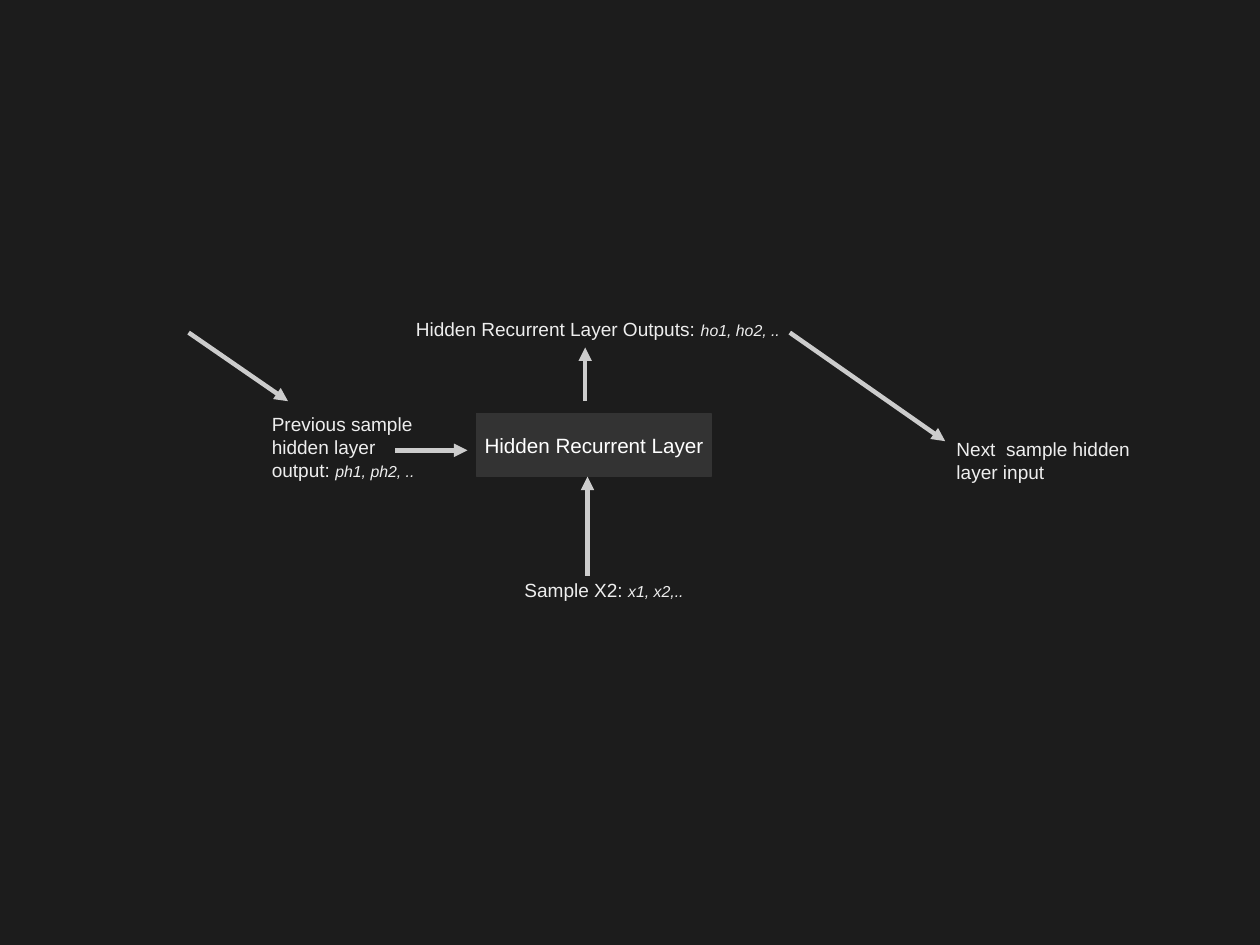
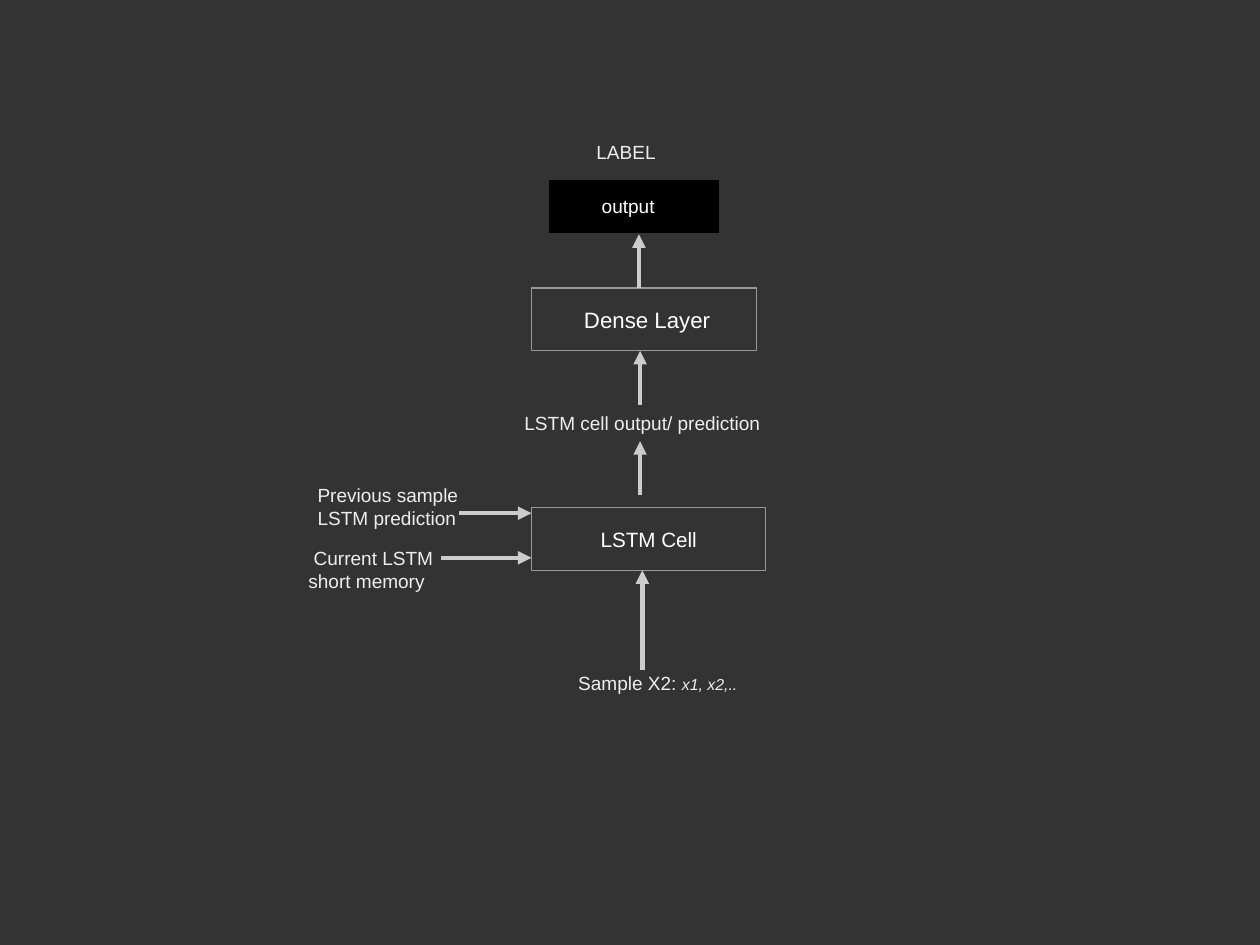
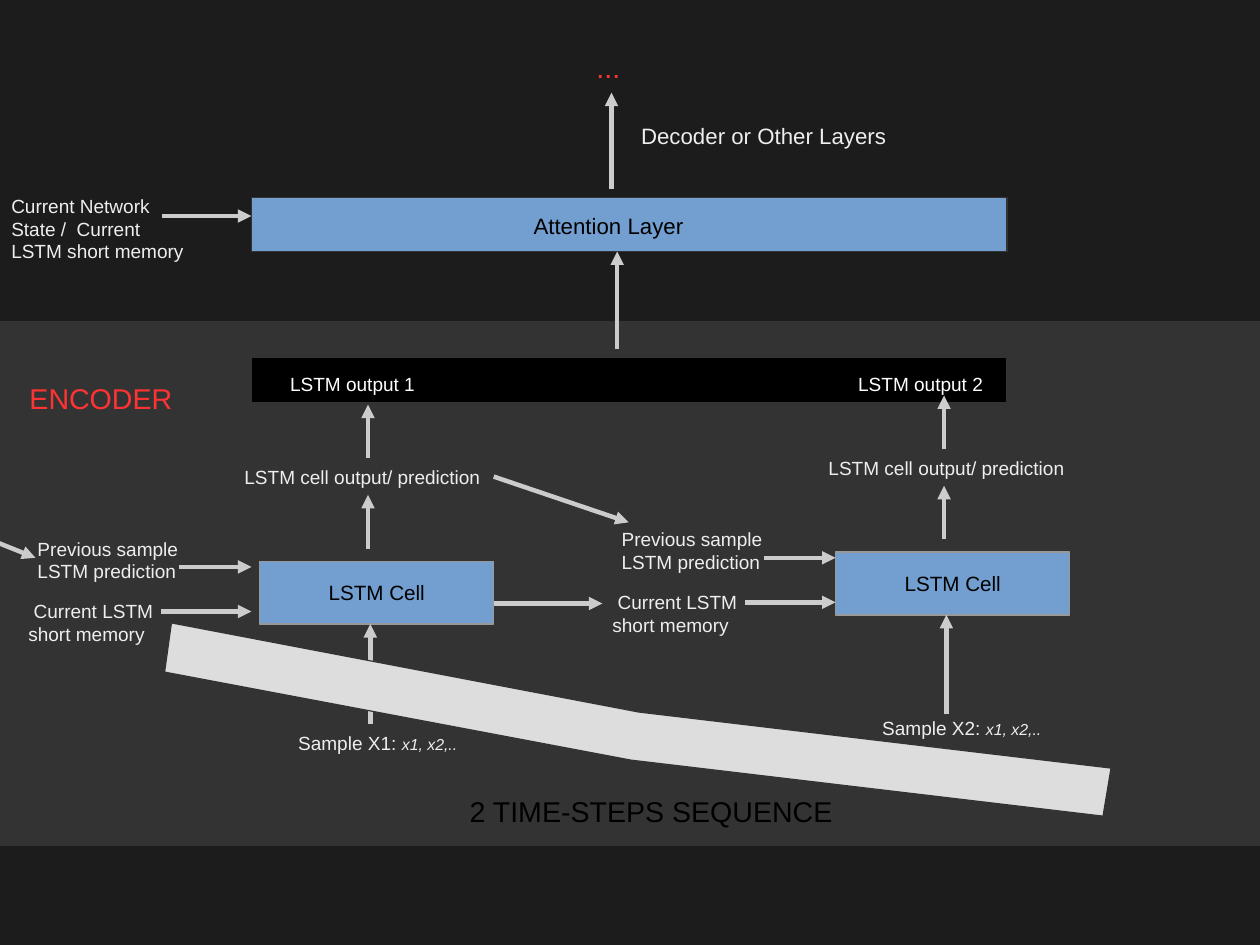
from dataclasses import dataclass

from lxml import etree
from pptx import Presentation
from pptx.dml.color import RGBColor
from pptx.enum.shapes import MSO_CONNECTOR, MSO_SHAPE
from pptx.enum.text import MSO_ANCHOR, PP_ALIGN
from pptx.oxml.ns import qn
from pptx.shapes.autoshape import Shape
from pptx.slide import Slide
from pptx.text.text import TextFrame
from pptx.util import Inches, Pt

# Shared style
FONT = "Arial"
INK = RGBColor(0x1C, 0x1C, 0x1C)
CHARCOAL = RGBColor(0x33, 0x33, 0x33)
BLACK = RGBColor(0x00, 0x00, 0x00)
WHITE = RGBColor(0xFF, 0xFF, 0xFF)
PALE = RGBColor(0xEE, 0xEE, 0xEE)
RIBBON_GREY = RGBColor(0xDD, 0xDD, 0xDD)
ARROW_GREY = RGBColor(0xCC, 0xCC, 0xCC)
BORDER_GREY = RGBColor(0x99, 0x99, 0x99)
BLUE = RGBColor(0x72, 0x9F, 0xCF)
RED = RGBColor(0xFF, 0x33, 0x33)

RECTANGLE = MSO_SHAPE.RECTANGLE
PROCESS = MSO_SHAPE.FLOWCHART_PROCESS
STRAIGHT = MSO_CONNECTOR.STRAIGHT
MIDDLE = MSO_ANCHOR.MIDDLE
CENTER = PP_ALIGN.CENTER
LEFT = PP_ALIGN.LEFT

# The page is 28 by 21 centimetres
PAGE_WIDTH, PAGE_HEIGHT = 28 / 2.54, 21 / 2.54
CELL_WIDTH, CELL_HEIGHT = 2.05, 0.55
ARROW_LENGTH = 0.47


@dataclass(frozen=True)
class Label:
    text: str
    left: float
    top: float
    width: float
    height: float = 0.31
    detail: str = ""
    size: float = 12
    color: RGBColor = PALE


@dataclass(frozen=True)
class Arrow:
    start_x: float
    start_y: float
    end_x: float
    end_y: float


@dataclass(frozen=True)
class Step:
    """One LSTM cell; side_left is the edge its inputs are aligned to."""
    cell_left: float
    side_left: float
    top: float
    sample: str
    sample_top: float
    fill: RGBColor
    color: RGBColor


# Drawing functions
def write_text(frame: TextFrame, text: str, *, size: float, color: RGBColor,
               detail: str = "", align: PP_ALIGN = LEFT) -> None:
    para = frame.paragraphs[0]
    para.alignment = align
    for content, points, italic in ((text, size, False), (detail, 10, True)):
        if content:
            span = para.add_run()
            span.text = content
            span.font.name = FONT
            span.font.size = Pt(points)
            span.font.italic = italic
            span.font.color.rgb = color


def add_label(page: Slide, label: Label) -> None:
    box = page.shapes.add_textbox(Inches(label.left), Inches(label.top),
                                  Inches(label.width), Inches(label.height))
    box.text_frame.word_wrap = True
    write_text(box.text_frame, label.text, size=label.size,
               color=label.color, detail=label.detail)


def paint(shape: Shape, fill: RGBColor, border: RGBColor) -> None:
    shape.shadow.inherit = False
    shape.fill.solid()
    shape.fill.fore_color.rgb = fill
    shape.line.color.rgb = border
    shape.line.width = Pt(0)


def add_box(page: Slide, left: float, top: float, width: float, height: float,
            *, fill: RGBColor, border: RGBColor = CHARCOAL, text: str = "",
            size: float = 13, color: RGBColor = WHITE) -> None:
    box = page.shapes.add_shape(PROCESS if text else RECTANGLE, Inches(left),
                                Inches(top), Inches(width), Inches(height))
    paint(box, fill, border)
    if text:
        box.text_frame.word_wrap = False
        box.text_frame.vertical_anchor = MIDDLE
        write_text(box.text_frame, text, size=size, color=color, align=CENTER)


def add_arrow(page: Slide, arrow: Arrow) -> None:
    connector = page.shapes.add_connector(
        STRAIGHT, Inches(arrow.start_x), Inches(arrow.start_y),
        Inches(arrow.end_x), Inches(arrow.end_y))
    connector.line.color.rgb = ARROW_GREY
    connector.line.width = Pt(2.83)
    properties = connector.element.spPr
    line = properties.find(qn("a:ln"))
    etree.SubElement(line, qn("a:tailEnd"), type="triangle")
    etree.SubElement(properties, qn("a:effectLst"))


def add_polygon(page: Slide, points: list[tuple[float, float]],
                fill: RGBColor) -> None:
    corners = [(Inches(x), Inches(y)) for x, y in points]
    builder = page.shapes.build_freeform(*corners[0])
    builder.add_line_segments(corners[1:], close=True)
    paint(builder.convert_to_shape(), fill, CHARCOAL)


def add_parts(page: Slide, arrows: list[Arrow], labels: list[Label]) -> None:
    for arrow in arrows:
        add_arrow(page, arrow)
    for label in labels:
        add_label(page, label)


def add_step(page: Slide, step: Step) -> None:
    side, top = step.side_left, step.top
    add_box(page, step.cell_left, top, CELL_WIDTH, CELL_HEIGHT, fill=step.fill,
            border=BORDER_GREY, text="LSTM Cell", color=step.color)
    sample_x = step.cell_left + 0.97
    output_x = step.cell_left + 0.95
    arrows = [
        Arrow(side - 0.63, top + 0.05, side, top + 0.05),
        Arrow(side - 0.79, top + 0.44, side, top + 0.44),
        Arrow(sample_x, top + 1.42, sample_x, top + CELL_HEIGHT),
    ]
    arrows += [Arrow(output_x, start, output_x, start - ARROW_LENGTH)
               for start in (top - 0.11, top - 0.9)]
    add_parts(page, arrows, [
        Label("Previous sample LSTM prediction", side - 1.97, top - 0.26, 1.57, 0.47),
        Label(" Current LSTM short memory", side - 2.05, top + 0.29, 1.57, 0.47),
        Label("LSTM cell output/ prediction", side - 0.16, top - 0.89, 2.44),
        Label(f"Sample {step.sample}: ", side + 0.31, step.sample_top, 1.81, 0.66,
              detail="x1, x2,.."),
    ])


def add_page(deck: Presentation, background: RGBColor) -> Slide:
    page = deck.slides.add_slide(deck.slide_layouts[6])
    page.background.fill.solid()
    page.background.fill.fore_color.rgb = background
    return page


# Slides
def build_recurrent_page(deck: Presentation) -> None:
    page = add_page(deck, INK)
    add_box(page, 4.17, 3.62, CELL_WIDTH, CELL_HEIGHT, fill=CHARCOAL,
            text="Hidden Recurrent Layer")
    add_parts(page, [
        Arrow(3.46, 3.94, 4.09, 3.94),
        Arrow(5.14, 5.04, 5.14, 4.17),
        Arrow(5.12, 3.51, 5.12, 3.04),
        Arrow(1.65, 2.91, 2.52, 3.51),
        Arrow(6.91, 2.91, 8.27, 3.86),
    ], [
        Label("Previous sample hidden layer output: ", 2.28, 3.56, 1.57, 0.66,
              detail="ph1, ph2, .."),
        Label("Hidden Recurrent Layer Outputs: ", 3.54, 2.73, 3.62, 0.66,
              detail="ho1, ho2, .."),
        Label("Sample X2: ", 4.49, 5.01, 1.81, 0.66, detail="x1, x2,.."),
        Label("Next  sample hidden layer input", 8.27, 3.78, 1.73, 0.66),
    ])


def build_cell_page(deck: Presentation) -> None:
    page = add_page(deck, CHARCOAL)
    add_box(page, 4.8, 1.57, 1.5, 0.47, fill=BLACK)
    add_box(page, 4.65, 2.52, 1.97, CELL_HEIGHT, fill=CHARCOAL,
            border=BORDER_GREY, text=" Dense Layer", size=14)
    add_step(page, Step(4.65, 4.65, 4.44, "X2", 5.83, CHARCOAL, WHITE))
    add_parts(page, [Arrow(5.59, 2.52, 5.59, 2.05)], [
        Label(" output", 5.12, 1.65, 1.57, color=WHITE),
        Label("LABEL", 5.12, 1.18, 0.87),
    ])


def build_attention_page(deck: Presentation) -> None:
    page = add_page(deck, INK)

    # Encoder band and layer bars
    add_box(page, 0, 2.81, PAGE_WIDTH, 4.59, fill=CHARCOAL)
    add_box(page, 2.2, 1.73, 6.61, 0.47, fill=BLUE)
    add_box(page, 2.2, 3.13, 6.61, 0.39, fill=BLACK)

    # Two time steps with the ribbon between them
    add_step(page, Step(2.27, 2.2, 4.91, "X1", 6.35, BLUE, BLACK))
    add_polygon(page, [(9.72, 6.72), (9.65, 7.14), (5.52, 6.65),
                       (1.44, 5.88), (1.5, 5.45), (5.59, 6.23)], RIBBON_GREY)
    add_step(page, Step(7.31, 7.31, 4.83, "X2", 6.22, BLUE, BLACK))

    # Links between steps and layers, and captions
    add_parts(page, [
        Arrow(4.32, 4.17, 5.5, 4.57),
        Arrow(4.32, 5.28, 5.27, 5.28),
        Arrow(-0.09, 4.72, 0.31, 4.88),
        Arrow(5.4, 3.05, 5.4, 2.2),
        Arrow(1.42, 1.89, 2.2, 1.89),
        Arrow(5.35, 1.65, 5.35, 0.81),
    ], [
        Label("LSTM output 1", 2.44, 3.21, 1.57, color=WHITE),
        Label("LSTM output 2", 7.41, 3.21, 1.57, color=WHITE),
        Label("2 TIME-STEPS SEQUENCE", 4.01, 6.9, 4.02, 0.66, size=18, color=BLACK),
        Label("Decoder or Other Layers", 5.51, 1.02, 2.68, 0.53, size=14),
        Label("Attention Layer", 4.57, 1.81, 2.2, 0.39, size=14, color=BLACK),
        Label("Current Network State /  Current LSTM short memory",
              0, 1.65, 1.81, 0.85),
        Label("ENCODER", 0.16, 3.28, 1.73, 0.66, size=18, color=RED),
        Label("...", 5.12, 0.39, 0.63, 0.38, size=18, color=RED),
    ])


def main() -> None:
    deck = Presentation()
    deck.slide_width = Inches(PAGE_WIDTH)
    deck.slide_height = Inches(PAGE_HEIGHT)
    build_recurrent_page(deck)
    build_cell_page(deck)
    build_attention_page(deck)
    deck.save("out.pptx")


if __name__ == "__main__":
    main()
